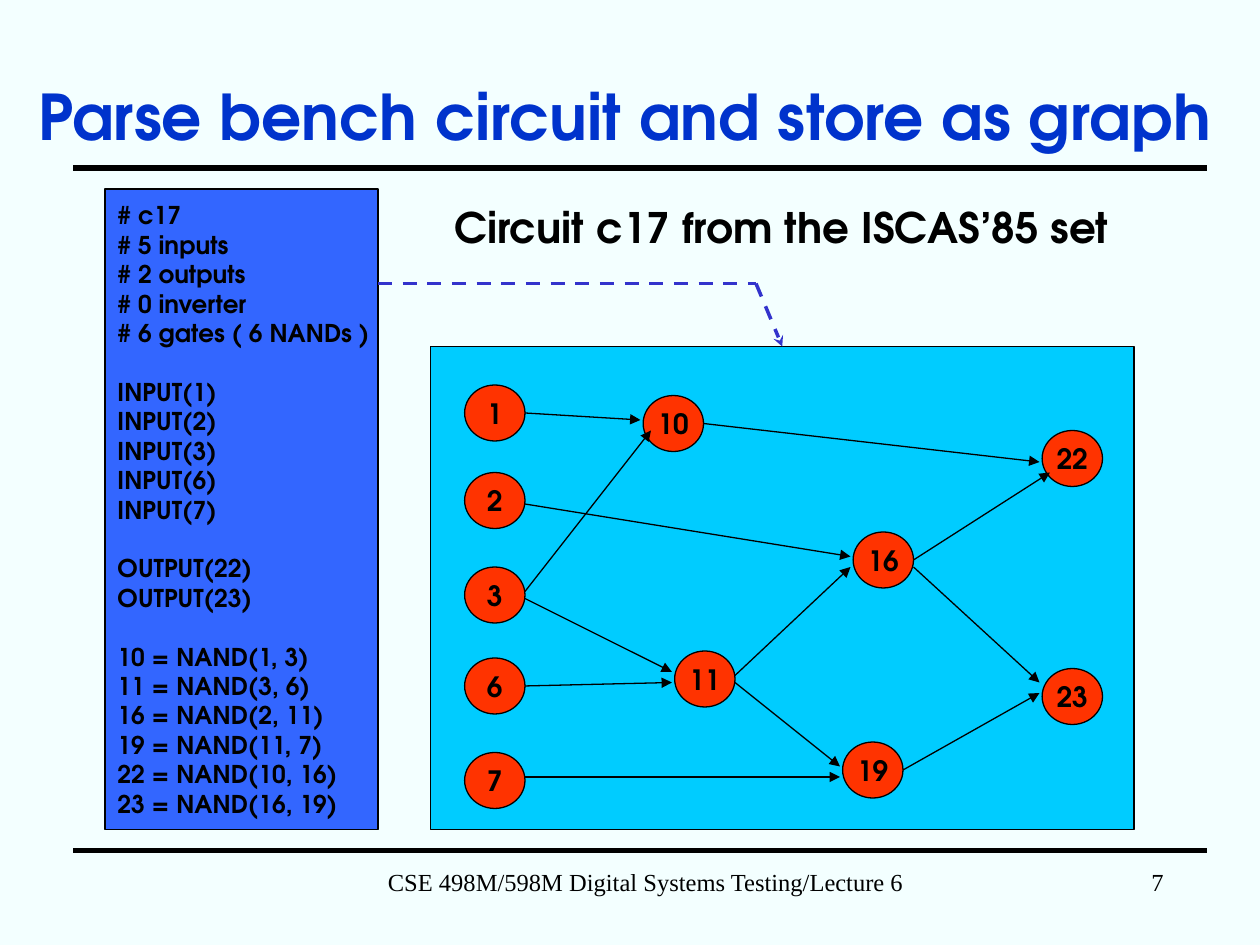
from typing import NamedTuple, Optional

import pptx
import pptx.dml.color
import pptx.enum.dml
import pptx.enum.shapes
import pptx.enum.text
import pptx.oxml.ns
import pptx.util
from lxml import etree

Pt = pptx.util.Pt
Shape = pptx.enum.shapes.MSO_SHAPE
Align = pptx.enum.text.PP_ALIGN
Anchor = pptx.enum.text.MSO_ANCHOR
qn = pptx.oxml.ns.qn

COLORS = {
    "back": "F3FFFF", "title": "0033CC", "ink": "000000", "code": "3366FF",
    "graph": "00CCFF", "node": "FF3300", "dash": "3333CC",
}
SANS = "TeX Gyre Adventor"
SERIF = "Times New Roman"
NODE_W, NODE_H = 34.5, 32


class Box(NamedTuple):
    left: float
    top: float
    width: float
    height: float


class Style(NamedTuple):
    size: float
    font: str = SANS
    color: str = "ink"
    bold: bool = True
    align: Align = Align.LEFT


class Node(NamedTuple):
    name: str
    left: float
    top: float


class Edge(NamedTuple):
    start: str
    start_y: float
    end: str
    end_y: float
    inset: float = -1.5


CODE = [
    ["# c17", "# 5 inputs", "# 2 outputs", "# 0 inverter", "# 6 gates ( 6 NANDs )"],
    [f"INPUT({pin})" for pin in (1, 2, 3, 6, 7)],
    ["OUTPUT(22)", "OUTPUT(23)"],
    ["10 = NAND(1, 3)", "11 = NAND(3, 6)", "16 = NAND(2, 11)",
     "19 = NAND(11, 7)", "22 = NAND(10, 16)", "23 = NAND(16, 19)"],
]

IN_X, OUT_X = 265.5, 595.5
NODES = [
    Node("7", IN_X, 430), Node("6", IN_X, 376), Node("3", IN_X, 324),
    Node("2", IN_X, 270), Node("1", IN_X, 220),
    Node("16", 487.5, 304), Node("11", 385.5, 372), Node("10", 367.5, 226),
    Node("23", OUT_X, 382), Node("22", OUT_X, 246), Node("19", 481.5, 424),
]
EDGES = [
    Edge("1", 236, "10", 240), Edge("2", 288, "16", 318),
    Edge("3", 338, "10", 246, 4.5), Edge("3", 342, "11", 384),
    Edge("6", 392, "11", 390), Edge("7", 444, "19", 444),
    Edge("10", 242, "22", 264), Edge("11", 390, "19", 438),
    Edge("11", 386, "16", 324), Edge("16", 320, "22", 270, 4.5),
    Edge("16", 324, "23", 390), Edge("19", 440, "23", 396),
]


def rgb(name: str):
    return pptx.dml.color.RGBColor.from_string(COLORS[name])


def place(box: Box) -> list:
    return [Pt(side) for side in box]


def set_text(frame, text: str, style: Style, wrap: bool = True) -> None:
    frame.text = text
    frame.word_wrap = wrap
    for para in frame.paragraphs:
        para.alignment = style.align
        for run in para.runs:
            run.font.size = Pt(style.size)
            run.font.name = style.font
            run.font.bold = style.bold
            run.font.color.rgb = rgb(style.color)


def add_label(shapes, box: Box, text: str, style: Style, wrap: bool = True) -> None:
    label = shapes.add_textbox(*place(box))
    set_text(label.text_frame, text, style, wrap)


def add_block(shapes, kind: Shape, box: Box, fill: str):
    block = shapes.add_shape(kind, *place(box))
    block.shadow.inherit = False
    block.fill.solid()
    block.fill.fore_color.rgb = rgb(fill)
    block.line.color.rgb = rgb("ink")
    block.line.width = Pt(0.75)
    block.text_frame.vertical_anchor = Anchor.MIDDLE
    return block


def add_line(shapes, x1: float, y1: float, x2: float, y2: float, width: float,
             color: str = "ink", dash: bool = False, arrow: Optional[str] = None):
    line = shapes.add_connector(
        pptx.enum.shapes.MSO_CONNECTOR.STRAIGHT, Pt(x1), Pt(y1), Pt(x2), Pt(y2))
    line.line.color.rgb = rgb(color)
    line.line.width = Pt(width)
    if dash:
        line.line.dash_style = pptx.enum.dml.MSO_LINE.DASH
    props = line._element.spPr
    if arrow:
        etree.SubElement(props.find(qn("a:ln")), qn("a:tailEnd"), type=arrow)
    etree.SubElement(props, qn("a:effectLst"))
    return line


def add_code(shapes) -> None:
    code = add_block(shapes, Shape.RECTANGLE, Box(60, 108, 156, 366), "code")
    frame = code.text_frame
    text = "\n".join(line for part in CODE for line in part)
    set_text(frame, text, Style(14), wrap=False)
    first = 0
    for part in CODE[:-1]:
        first += len(part)
        frame.paragraphs[first].space_before = Pt(16.8)


def add_graph(shapes):
    group = shapes.add_group_shape().shapes
    panel = add_block(group, Shape.RECTANGLE, Box(246, 198, 402, 276), "graph")
    for node in NODES:
        box = Box(node.left, node.top, NODE_W, NODE_H)
        oval = add_block(group, Shape.OVAL, box, "node")
        set_text(oval.text_frame, node.name, Style(16, align=Align.CENTER), wrap=False)
    lefts = {node.name: node.left for node in NODES}
    for edge in EDGES:
        add_line(group, lefts[edge.start] + NODE_W, edge.start_y,
                 lefts[edge.end] + edge.inset, edge.end_y, 0.75, arrow="triangle")
    return panel


def main() -> None:
    deck = pptx.Presentation()
    deck.slide_width, deck.slide_height = Pt(720), Pt(540)
    slide = deck.slides.add_slide(deck.slide_layouts[5])
    slide.background.fill.solid()
    slide.background.fill.fore_color.rgb = rgb("back")
    shapes = slide.shapes

    for y in (96, 486):
        add_line(shapes, 42, y, 690, y, 3)

    title = shapes.title
    title.left, title.top, title.width, title.height = place(Box(6, 42, 702, 48))
    set_text(title.text_frame, "Parse bench circuit and store as graph",
             Style(36, color="title", align=Align.CENTER))
    title.text_frame.vertical_anchor = Anchor.MIDDLE
    title.text_frame.auto_size = pptx.enum.text.MSO_AUTO_SIZE.NONE

    add_label(shapes, Box(252.5, 111.5, 400, 36),
              "Circuit c17 from the ISCAS’85 set", Style(24), wrap=False)
    add_code(shapes)
    panel = add_graph(shapes)
    add_line(shapes, 216, 162, 432, 162, 2, "dash", dash=True)
    link = add_line(shapes, 432, 162, 447, 198, 2, "dash", dash=True, arrow="stealth")
    link.end_connect(panel, 0)

    add_label(shapes, Box(198, 492, 342, 24),
              "CSE 498M/598M Digital Systems Testing/Lecture 6",
              Style(14, SERIF, bold=False, align=Align.CENTER))
    add_label(shapes, Box(588, 492, 84, 24), "7",
              Style(14, SERIF, bold=False, align=Align.RIGHT))
    deck.save("out.pptx")


if __name__ == "__main__":
    main()
